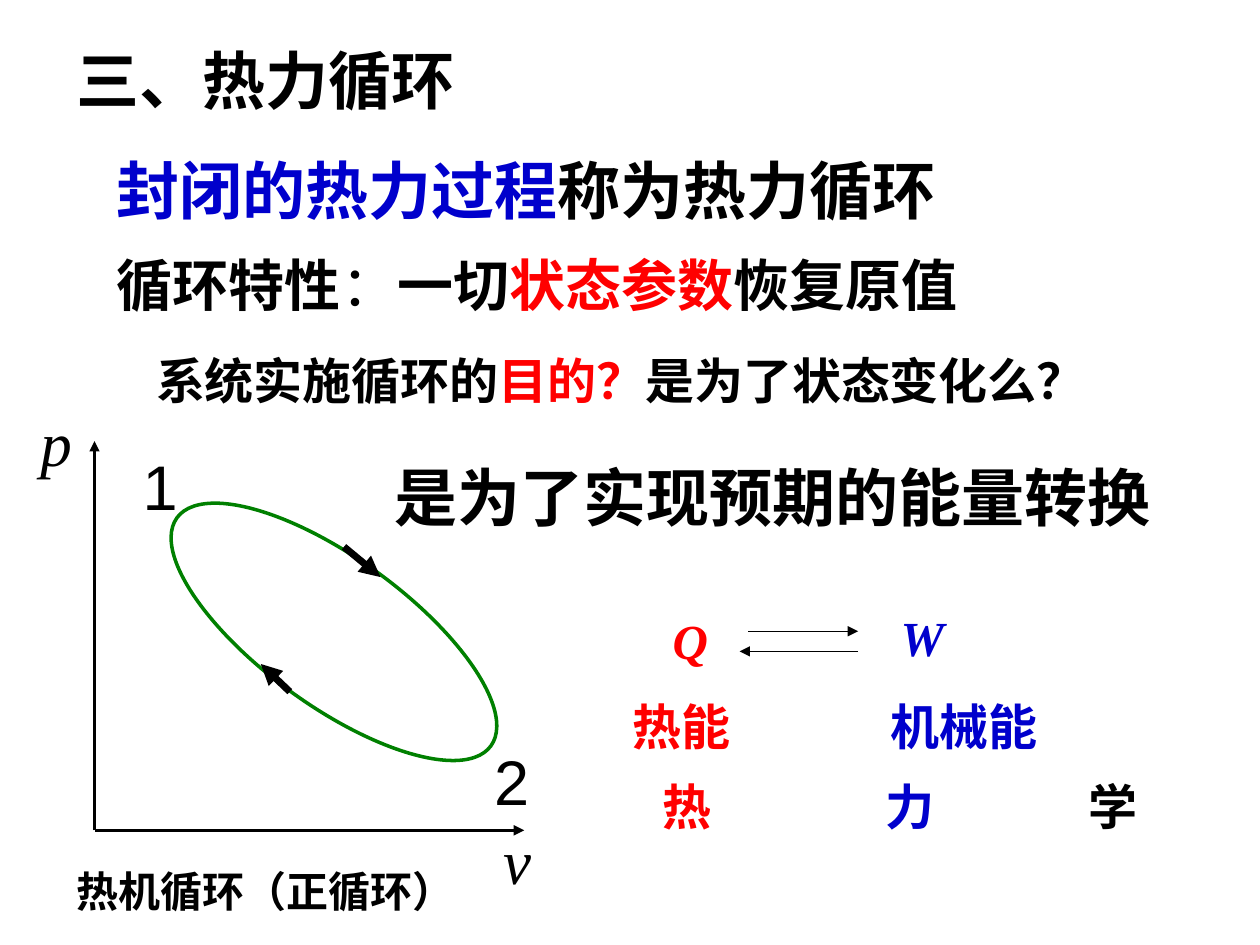
"""Build the thermodynamic cycle slide: definition, purpose and p-v diagram."""
from dataclasses import dataclass

from lxml.etree import SubElement
from pptx import Presentation
from pptx.dml.color import RGBColor
from pptx.enum.shapes import MSO_CONNECTOR, MSO_SHAPE
from pptx.enum.text import MSO_ANCHOR, MSO_AUTO_SIZE, PP_ALIGN
from pptx.oxml.ns import qn
from pptx.util import Inches, Pt


@dataclass(frozen=True)
class Theme:
    black: str = "000000"
    blue: str = "0000CC"
    red: str = "FF0000"
    green: str = "008000"
    title: int = 36
    lead: int = 32
    body: int = 28
    caption: int = 24
    serif: str = "Times New Roman"
    sans: str = "Arial"
    cjk: str = "Noto Sans CJK SC"


T = Theme()


def add_text(box, runs, size, font, bold=True, italic=False,
             align=PP_ALIGN.LEFT, anchor=MSO_ANCHOR.TOP, wrap=False):
    tf = s.shapes.add_textbox(*map(Inches, box)).text_frame
    tf.word_wrap = wrap
    tf.auto_size = MSO_AUTO_SIZE.SHAPE_TO_FIT_TEXT
    tf.vertical_anchor = anchor
    p = tf.paragraphs[0]
    p.alignment = align
    for text, color in runs:
        r = p.add_run()
        r.text = text
        r.font.size = Pt(size)
        r.font.bold = bold and text != "："
        r.font.italic = italic
        r.font.color.rgb = RGBColor.from_string(color)
        r.font.name = font
        SubElement(r.font._element, qn("a:ea"), typeface=T.cjk)


def add_arrow(start, end, width):
    line = s.shapes.add_connector(MSO_CONNECTOR.STRAIGHT, *map(Inches, start + end))
    line.line.color.rgb = RGBColor.from_string(T.black)
    line.line.width = Pt(width)
    SubElement(line.line._get_or_add_ln(), qn("a:tailEnd"), type="triangle")
    SubElement(line._element.spPr, qn("a:effectLst"))


prs = Presentation()
prs.slide_width, prs.slide_height = Inches(10), Inches(7.5)
s = prs.slides.add_slide(prs.slide_layouts[6])

add_text((0.51, 0.28, 7.16, 0.7), [("三、热力循环", T.black)], T.title, T.serif, wrap=True)
add_text((0.83, 1.15, 6.98, 0.7),
         [("封闭的热力过程", T.blue), ("称为热力循环", T.black)],
         T.title, T.cjk, anchor=MSO_ANCHOR.MIDDLE)
add_text((0.83, 1.94, 6.89, 0.63),
         [("循环特性", T.black), ("：", T.black), ("一切", T.black),
          ("状态参数", T.red), ("恢复原值", T.black)], T.lead, T.sans)
add_text((1.14, 2.73, 7.62, 0.57),
         [("系统实施循环的", T.black), ("目的？", T.red), ("是为了状态变化么？", T.black)],
         T.body, T.cjk)
add_text((3.03, 3.59, 6.22, 0.7), [("是为了实现预期的能量转换", T.black)],
         T.title, T.serif, anchor=MSO_ANCHOR.MIDDLE)

for text, left, top, width, color in [
    ("Q", 5.24, 4.8, 0.48, T.red),
    ("W", 7.05, 4.77, 0.55, T.blue),
    ("热能", 4.92, 5.48, 0.98, T.red),
    ("机械能", 6.97, 5.48, 1.37, T.blue),
    ("热", 5.16, 6.11, 0.59, T.red),
    ("力", 6.93, 6.11, 0.59, T.blue),
    ("学", 8.54, 6.11, 0.59, T.black),
]:
    add_text((left, top, width, 0.57), [(text, color)], T.body, T.serif,
             italic=text in "QW")

cycle = s.shapes.add_shape(MSO_SHAPE.OVAL, Inches(1.11), Inches(4.43),
                           Inches(3.08), Inches(1.17))
cycle.rotation = 36
cycle.shadow.inherit = False
cycle.fill.background()
cycle.line.color.rgb = RGBColor.from_string(T.green)
cycle.line.width = Pt(2)

for start, end, width in [
    ((5.94, 5.01), (6.81, 5.01), 0.75),
    ((6.81, 5.17), (5.87, 5.17), 0.75),
    ((0.75, 6.59), (4.16, 6.59), 1.5),
    ((0.75, 6.59), (0.75, 3.5), 1.5),
    ((2.73, 4.34), (3.02, 4.58), 4),
    ((2.3, 5.49), (2.07, 5.27), 4),
]:
    add_arrow(start, end, width)

for text, left, top, width, font in [
    ("p", 0.22, 3.15, 0.45, T.serif),
    ("v", 3.89, 6.47, 0.43, T.serif),
    ("1", 1.03, 3.5, 0.48, T.sans),
    ("2", 3.82, 5.84, 0.48, T.sans),
]:
    add_text((left, top, width, 0.7), [(text, T.black)], T.title, font, bold=False,
             italic=font == T.serif, align=PP_ALIGN.CENTER)

add_text((0.51, 6.82, 3.22, 0.5), [("热机循环（正循环）", T.black)],
         T.caption, T.serif, anchor=MSO_ANCHOR.MIDDLE)

prs.save("out.pptx")
